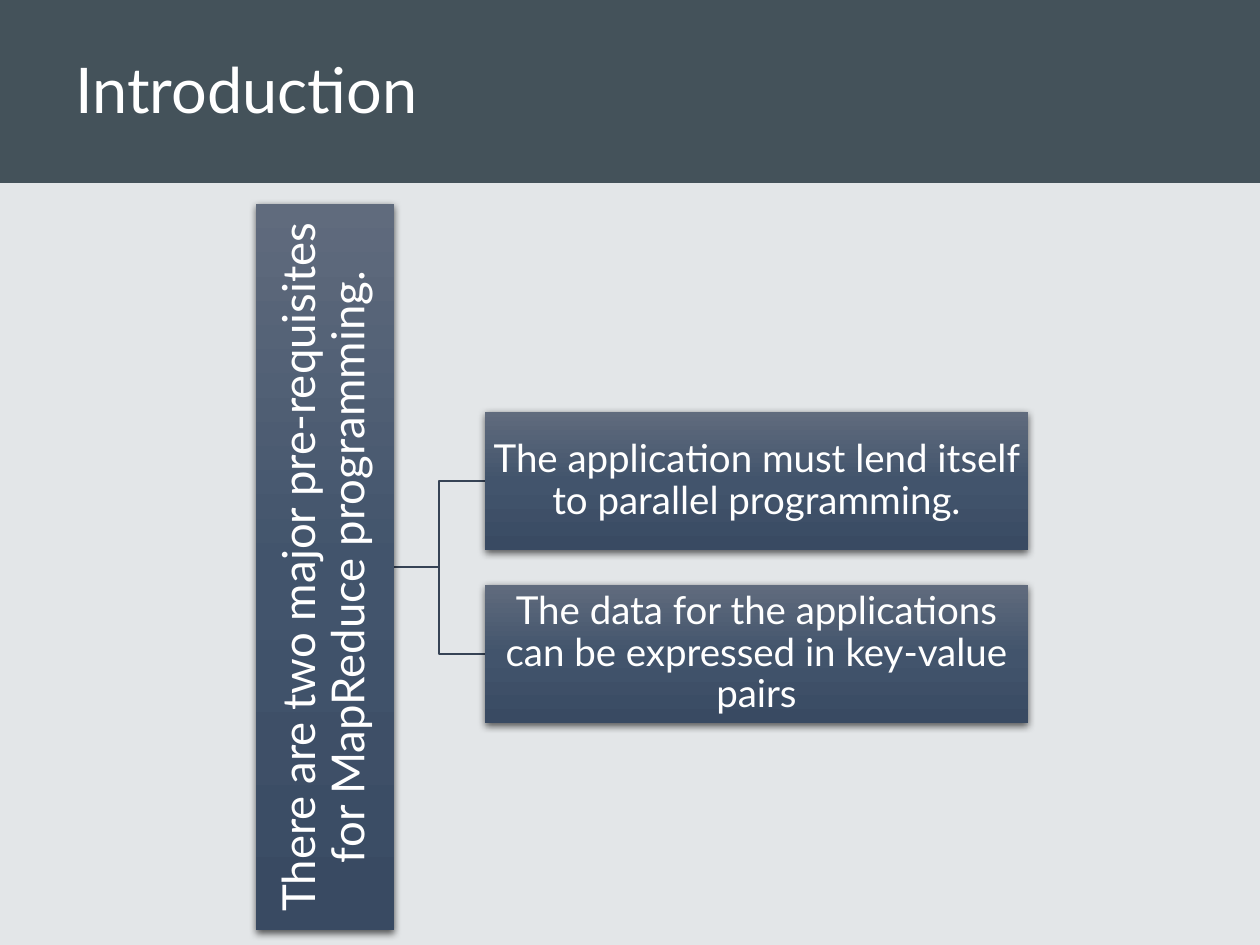
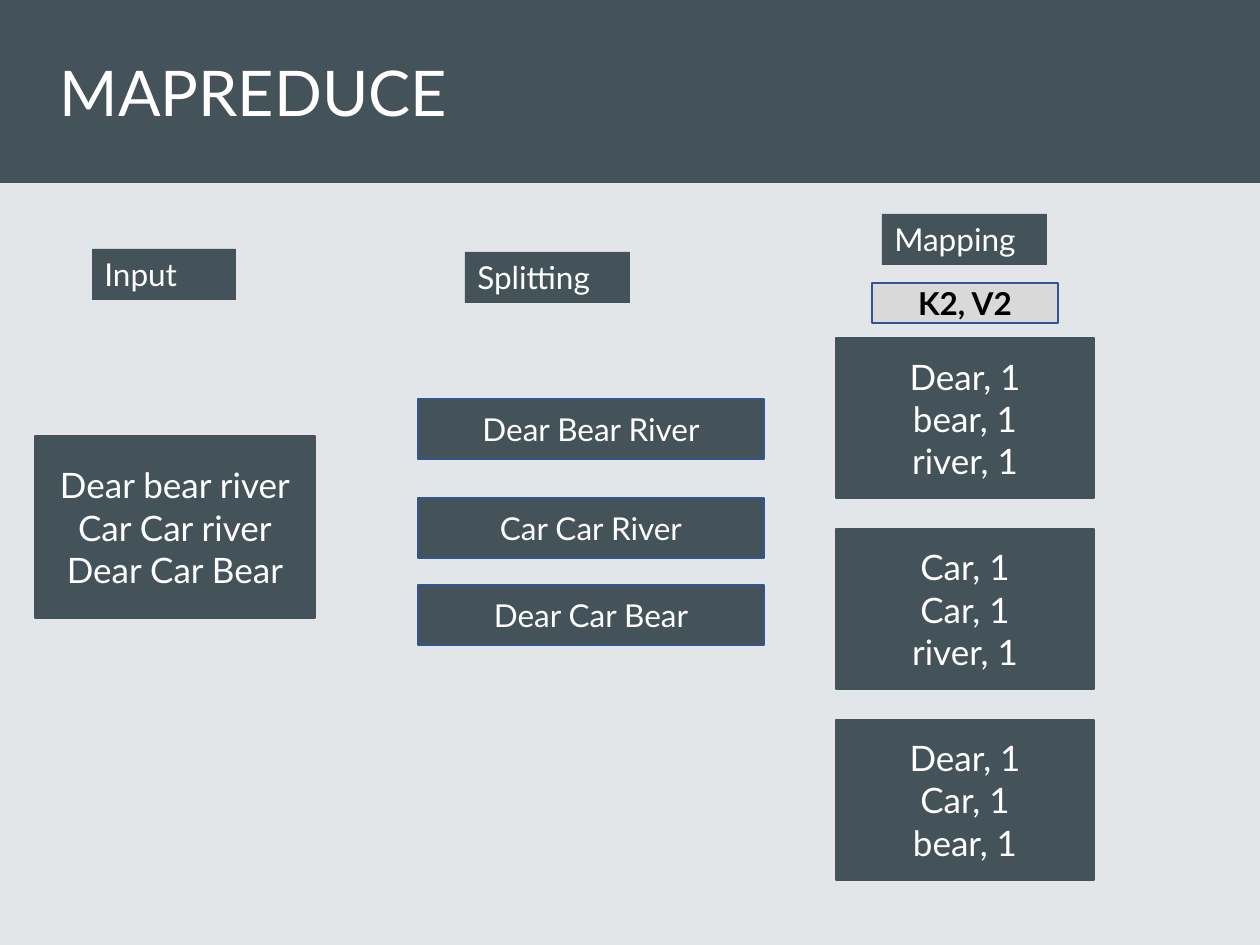
from copy import deepcopy

from lxml.etree import SubElement
from pptx import Presentation
from pptx.dml.color import RGBColor
from pptx.enum.shapes import MSO_SHAPE
from pptx.enum.text import MSO_ANCHOR, MSO_AUTO_SIZE, PP_ALIGN
from pptx.oxml.ns import qn
from pptx.util import Emu, Pt

COLORS = {
    "page": "E3E6E8", "slate": "44525A", "white": "FFFFFF", "black": "000000",
    "blue": "325491", "link": "364355", "grey": "D9D9D9",
    "light": "606B7D", "mid": "42546C", "dark": "394A62",
}
FONT = "Lato"
WIDE, HIGH, BAND = 1260, 945, 183


def px(count):
    """Turn pixels into EMU."""
    return Emu(round(count * 914400 / 126))


def rgb(name):
    """Look up a named colour."""
    return RGBColor.from_string(COLORS[name])


def write(shape, lines, size, color="white", bold=None, align=PP_ALIGN.CENTER,
          anchor=MSO_ANCHOR.MIDDLE, space=None):
    """Fill a shape with styled paragraphs."""
    frame = shape.text_frame
    frame.word_wrap = True
    frame.vertical_anchor = anchor
    frame.text = "\n".join(lines)
    for para in frame.paragraphs:
        para.alignment = align
        para.line_spacing = space
        font = para.font
        font.name, font.size, font.bold = FONT, Pt(size), bold
        font.color.rgb = rgb(color)
    return frame


def add_box(slide, spot, fill="slate", line=None):
    """Add a flat rectangle."""
    box = slide.shapes.add_shape(MSO_SHAPE.RECTANGLE, *map(px, spot))
    box.shadow.inherit = False
    box.fill.solid()
    box.fill.fore_color.rgb = rgb(fill)
    if line:
        box.line.color.rgb = rgb(line)
        box.line.width = Pt(1)
    else:
        box.line.fill.background()
    return box


def add_page(deck, title, spot):
    """Add a slide with its top band and title."""
    slide = deck.slides.add_slide(deck.slide_layouts[5])
    band = add_box(slide, (0, 0, WIDE, BAND))
    slide.shapes._spTree.insert(2, band._element)
    head = slide.shapes.title
    head.left, head.top, head.width, head.height = map(px, spot)
    write(head, [title], 36, align=PP_ALIGN.LEFT)
    return slide


def add_label(slide, text, spot):
    """Add a column label that grows with its text."""
    frame = write(add_box(slide, spot), [text], 18,
                  align=PP_ALIGN.LEFT, anchor=MSO_ANCHOR.TOP)
    frame.auto_size = MSO_AUTO_SIZE.SHAPE_TO_FIT_TEXT


def add_node(slide, text, spot, size, turn=0):
    """Add a shaded tree node with a soft shadow."""
    node = add_box(slide, spot)
    node.rotation = turn
    node.fill.gradient()
    node.fill.gradient_angle = 270
    props = node._element.spPr
    grad = props.find(qn("a:gradFill"))
    grad.set("rotWithShape", "0")
    grad[0].insert(1, deepcopy(grad[0][0]))
    shades = zip(node.fill.gradient_stops, ("light", "mid", "dark"), (0, 0.5, 1))
    for stop, name, place in shades:
        stop.color.rgb = rgb(name)
        stop.position = place
    shade = SubElement(props.find(qn("a:effectLst")), qn("a:outerShdw"),
                       blurRad="57150", dist="19050", dir="5400000", rotWithShape="0")
    tint = SubElement(shade, qn("a:srgbClr"), val=COLORS["black"])
    SubElement(tint, qn("a:alpha"), val="63000")
    frame = write(node, [text], size, space=0.9)
    frame.margin_left = frame.margin_right = px(2)
    frame.margin_top = frame.margin_bottom = px(2)


def add_link(slide, start, end):
    """Draw an elbow line between two points."""
    (left, top), (right, low) = start, end
    bend = (left + right) // 2
    pen = slide.shapes.build_freeform(px(left), px(top))
    points = [(bend, top), (bend, low), end]
    pen.add_line_segments([(px(x), px(y)) for x, y in points], close=False)
    link = pen.convert_to_shape()
    link.shadow.inherit = False
    link.fill.background()
    link.line.color.rgb = rgb("link")
    link.line.width = Pt(1)


def build_intro(deck):
    """Build the tree of prerequisites."""
    slide = add_page(deck, "Introduction", (63, 0, 1158, 176))
    leaves = ["The application must lend itself to parallel programming.",
              "The data for the applications can be expressed in key-value pairs"]
    long, thick, left, middle = 726, 138, 256, 567
    leaf, first, pitch = 485, 412, 173
    tops = [first + pitch * i for i in range(len(leaves))]
    for top in reversed(tops):
        add_link(slide, (left + thick, middle), (leaf, top + thick // 2))
    root = (left + (thick - long) // 2, middle - thick // 2, long, thick)
    add_node(slide, "There are two major pre-requisites for MapReduce programming.",
             root, 26, 270)
    for text, top in zip(leaves, tops):
        add_node(slide, text, (leaf, top, 543, thick), 22)


def build_flow(deck):
    """Build the input, splitting and mapping columns."""
    slide = add_page(deck, "MAPREDUCE", (47, 0, 1155, BAND))
    add_label(slide, "Input", (92, 249, 144, 51))
    add_label(slide, "Splitting", (465, 252, 165, 51))
    add_label(slide, "Mapping", (882, 214, 165, 51))
    source = ["Dear bear river", "Car Car river", "Dear Car Bear"]
    write(add_box(slide, (35, 436, 280, 182), line="slate"), source, 20)
    splits = [("Dear Bear River", 399), ("Car Car River", 498), ("Dear Car Bear", 585)]
    for text, top in splits:
        write(add_box(slide, (418, top, 346, 60), line="blue"), [text], 18)
    maps = [("Dear, 1", "bear, 1", "river, 1"),
            ("Car, 1", "Car, 1", "river, 1"),
            ("Dear, 1", "Car, 1", "bear, 1")]
    for i, pairs in enumerate(maps):
        spot = (836, 338 + 191 * i, 258, 160)
        write(add_box(slide, spot, line="slate"), pairs, 20)
    write(add_box(slide, (872, 283, 186, 40), "grey", "blue"), ["K2, V2"], 18,
          "black", True)


def main():
    """Build and save the deck."""
    deck = Presentation()
    deck.slide_width, deck.slide_height = px(WIDE), px(HIGH)
    back = deck.slide_master.background.fill
    back.solid()
    back.fore_color.rgb = rgb("page")
    build_intro(deck)
    build_flow(deck)
    deck.save("out.pptx")


if __name__ == "__main__":
    main()
